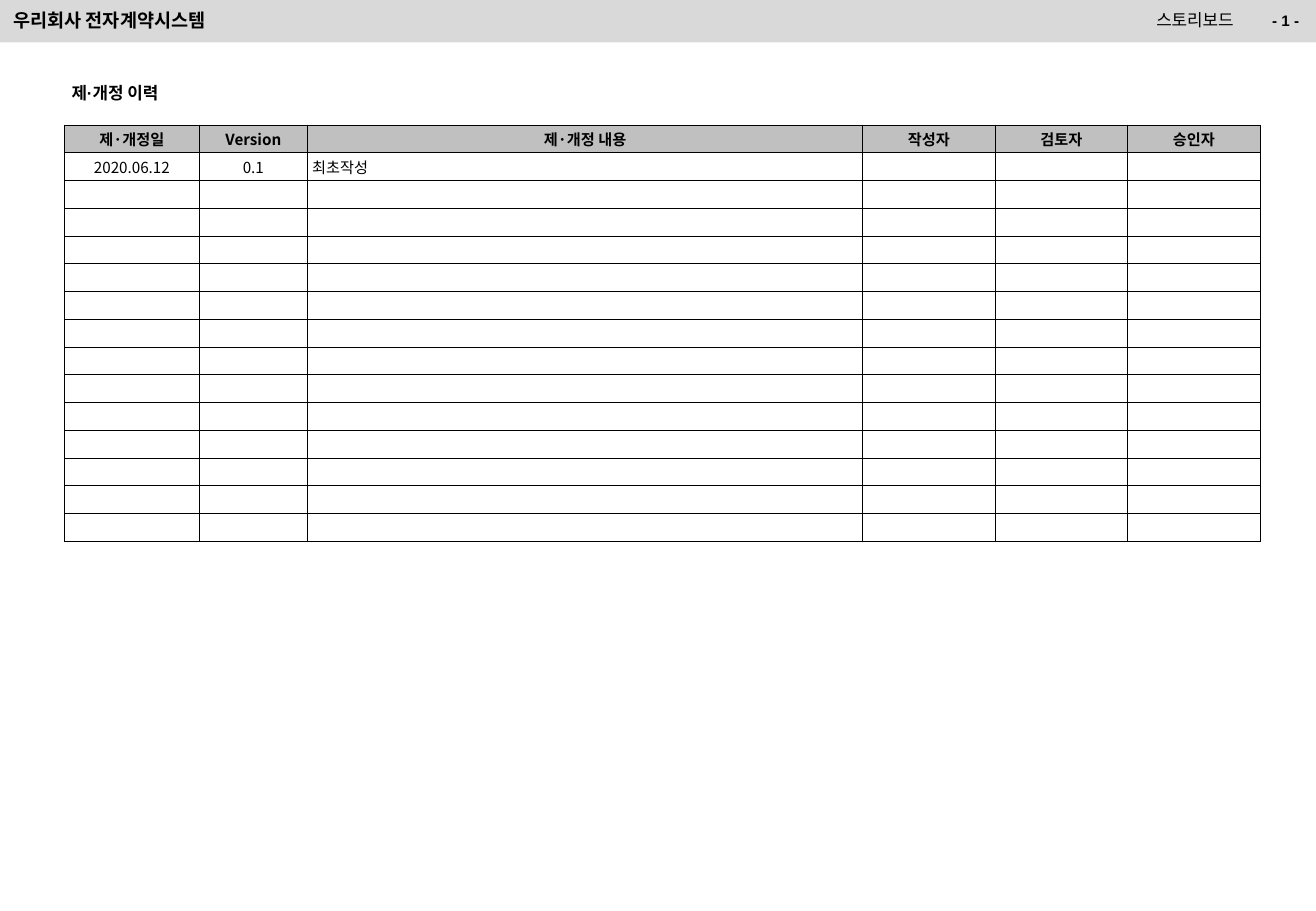
from lxml.etree import SubElement
from pptx import Presentation
from pptx.dml.color import RGBColor
from pptx.enum.shapes import MSO_SHAPE as Shape
from pptx.enum.text import MSO_ANCHOR as Anchor, PP_ALIGN as Align
from pptx.oxml.ns import qn
from pptx.util import Inches, Pt

WIDTH, HEIGHT = 10.83, 7.5
COLORS = {"text": "000000", "banner": "D9D9D9", "header": "C0C0C0", "border": "000000"}
KOREAN, LATIN = "Noto Sans CJK KR", "Arial"

COLUMNS = [
    ("제·개정일", 1.11), ("Version", 0.89), ("제·개정 내용", 4.57),
    ("작성자", 1.09), ("검토자", 1.09), ("승인자", 1.09),
]
REVISIONS = [("2020.06.12", "0.1", "최초작성")]
ROW_COUNT = 15
CONTENT_COLUMN = 2


def color(name):
    return RGBColor.from_string(COLORS[name])


def add_run(paragraph, text, size, bold=False, font=KOREAN):
    run = paragraph.add_run()
    run.text = text
    run.font.size = Pt(size)
    run.font.bold = bold
    run.font.name = font
    run.font.color.rgb = color("text")
    SubElement(run.font._element, qn("a:ea"), typeface=KOREAN)


def add_label(slide, box, text, size, bold=True, font=KOREAN, align=Align.LEFT, wrap=True):
    shape = slide.shapes.add_textbox(*map(Inches, box))
    frame = shape.text_frame
    frame.word_wrap = wrap
    frame.vertical_anchor = Anchor.MIDDLE
    frame.margin_top = frame.margin_bottom = 0
    paragraph = frame.paragraphs[0]
    paragraph.alignment = align
    add_run(paragraph, text, size, bold, font)


def add_banner(slide, left, top, width, height):
    banner = slide.shapes.add_shape(Shape.RECTANGLE, *map(Inches, (left, top, width, height)))
    banner.shadow.inherit = False
    banner.fill.solid()
    banner.fill.fore_color.rgb = color("banner")
    banner.line.fill.background()

    text_top, text_height = top + 0.02, 0.29
    page_width = 0.78
    right = left + width
    add_label(slide, (left + 0.01, text_top, 7.52, text_height), "우리회사 전자계약시스템", 11)
    add_label(slide, (right - 3.31, text_top, 2.73, text_height), "스토리보드", 10,
              bold=False, align=Align.RIGHT)
    add_label(slide, (right - page_width - 0.04, text_top, page_width, text_height), "- 1 -", 9,
              font=LATIN, align=Align.RIGHT)


def add_borders(cell):
    properties = cell._tc.get_or_add_tcPr()
    for side in ("lnL", "lnR", "lnT", "lnB"):
        line = SubElement(properties, qn(f"a:{side}"), w=str(Pt(0.5)))
        fill = SubElement(line, qn("a:solidFill"))
        SubElement(fill, qn("a:srgbClr"), val=COLORS["border"])


def fill_cell(cell, text, header, align):
    add_borders(cell)
    cell.vertical_anchor = Anchor.MIDDLE
    cell.margin_left = cell.margin_right = Inches(0.04)
    cell.margin_top = cell.margin_bottom = Inches(0.02)
    if header:
        cell.fill.solid()
        cell.fill.fore_color.rgb = color("header")
    else:
        cell.fill.background()
    paragraph = cell.text_frame.paragraphs[0]
    paragraph.alignment = align
    if text:
        add_run(paragraph, text, 9, bold=header)
    else:
        SubElement(paragraph._p, qn("a:endParaRPr"), sz="900")


def add_history_table(slide, left, top, width, height):
    frame = slide.shapes.add_table(ROW_COUNT, len(COLUMNS), *map(Inches, (left, top, width, height)))
    table = frame.table
    table.horz_banding = False
    for column, (_, column_width) in zip(table.columns, COLUMNS):
        column.width = Inches(column_width)

    texts = [[title for title, _ in COLUMNS], *REVISIONS]
    for row_index, row in enumerate(table.rows):
        row.height = Inches(height / ROW_COUNT)
        values = texts[row_index] if row_index < len(texts) else ()
        header = row_index == 0
        for column_index, cell in enumerate(row.cells):
            text = values[column_index] if column_index < len(values) else ""
            is_content = column_index == CONTENT_COLUMN and not header
            fill_cell(cell, text, header, Align.LEFT if is_content else Align.CENTER)


def add_history_section(slide, left, top, width):
    add_label(slide, (left - 0.04, top, 0.99, 0.25), "제·개정 이력", 10, font=LATIN, wrap=False)
    add_history_table(slide, left, top + 0.39, width, 3.43)


def main():
    presentation = Presentation()
    presentation.slide_width = Inches(WIDTH)
    presentation.slide_height = Inches(HEIGHT)
    slide = presentation.slides.add_slide(presentation.slide_layouts[6])
    add_banner(slide, 0, 0, WIDTH, 0.35)
    add_history_section(slide, 0.53, 0.64, 9.84)
    presentation.save("out.pptx")


if __name__ == "__main__":
    main()
